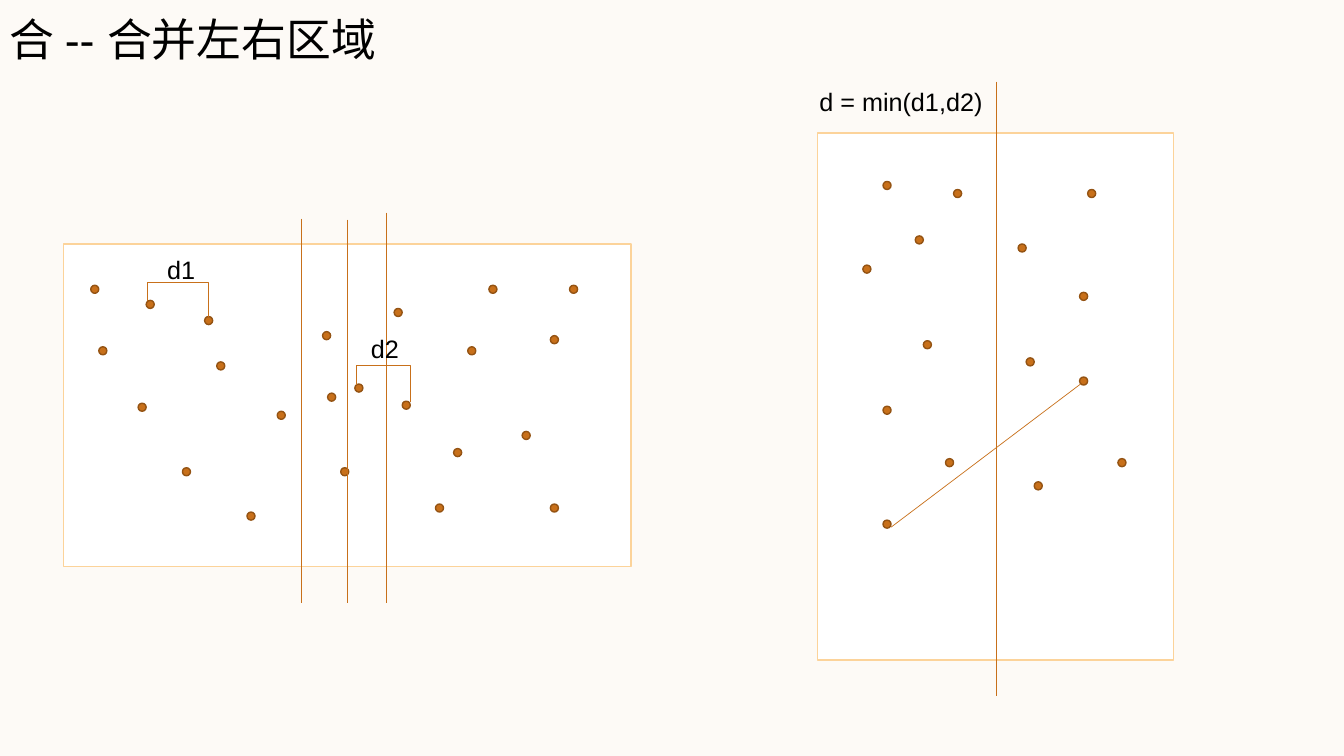
from dataclasses import dataclass
from lxml.etree import SubElement
from pptx import Presentation
from pptx.dml.color import RGBColor as RGB
from pptx.enum.shapes import MSO_CONNECTOR as CONN, MSO_SHAPE as SHAPE
from pptx.oxml.ns import qn
from pptx.util import Inches, Pt


@dataclass(frozen=True)
class Theme:
    background: str = "FDFAF6"
    panel: str = "FFFFFF"
    panel_edge: str = "FCD39A"
    accent: str = "C8701A"
    dot_edge: str = "945313"
    text: str = "000000"
    font: str = "Arial"
    title_size: int = 32
    label_size: int = 18
    edge_width: float = 1
    line_width: float = 0.5


THEME = Theme()
COLS, ROWS = 133.33, 75
CELL = Inches(0.1)
DOT = 0.8

LEFT_DOTS = [
    (2.7, 4.1), (3.5, 10.2), (8.2, 5.6), (7.4, 15.8), (14, 7.2), (11.8, 22.2),
    (15.2, 11.7), (40.1, 10.2), (32.8, 6.4), (25.7, 8.7), (45.5, 18.6),
    (33.6, 15.6), (38.7, 20.3), (36.9, 25.8), (18.2, 26.6), (21.2, 16.6),
    (27.5, 22.2), (42.2, 4.1), (48.3, 9.1), (50.2, 4.1), (48.3, 25.8),
    (26.2, 14.8), (28.9, 13.9),
]
RIGHT_DOTS = [
    (6.5, 4.8), (4.5, 13.1), (13.5, 5.6), (9.7, 10.2), (10.5, 20.6),
    (6.5, 27.1), (12.7, 32.3), (6.5, 38.4), (19.9, 11), (26, 15.8),
    (26.8, 5.6), (20.7, 22.3), (29.8, 32.3), (21.5, 34.6), (26, 24.2),
]


def cells(*values):
    return [round(v * CELL) for v in values]


def add_solid(s, kind, box, fill, edge):
    sp = s.shapes.add_shape(kind, *cells(*box))
    sp.shadow.inherit = False
    sp.fill.solid()
    sp.fill.fore_color.rgb = RGB.from_string(fill)
    sp.line.color.rgb = RGB.from_string(edge)
    sp.line.width = Pt(THEME.edge_width)


def add_text(s, box, text, size):
    tf = s.shapes.add_textbox(*cells(*box)).text_frame
    tf.word_wrap = True
    r = tf.paragraphs[0].add_run()
    r.text = text
    for name, value in {"name": THEME.font, "size": Pt(size)}.items():
        setattr(r.font, name, value)
    r.font.color.rgb = RGB.from_string(THEME.text)


def add_line(s, x1, y1, x2, y2, kind=CONN.STRAIGHT):
    line = s.shapes.add_connector(kind, *cells(x1, y1, x2, y2))
    line.line.color.rgb = RGB.from_string(THEME.accent)
    line.line.width = Pt(THEME.line_width)
    SubElement(line._element.spPr, qn("a:effectLst"))
    return line


def add_bracket(s, x1, y1, x2, y2, rise):
    mid_x, mid_y = (x1 + x2) / 2, (y1 + y2) / 2
    half_w, half_h = (y2 - y1) / 2, (x2 - x1) / 2
    line = add_line(s, mid_x - half_w, mid_y - half_h,
                    mid_x + half_w, mid_y + half_h, CONN.ELBOW)
    spPr = line._element.spPr
    xfrm = spPr.find(qn("a:xfrm"))
    for name, value in {"rot": "16200000", "flipH": "1"}.items():
        xfrm.set(name, value)
    geom = spPr.find(qn("a:prstGeom"))
    guides = geom.find(qn("a:avLst"))
    if guides is None:
        guides = SubElement(geom, qn("a:avLst"))
    bend = round(-rise / (y2 - y1) * 100000)
    SubElement(guides, qn("a:gd"), name="adj1", fmla=f"val {bend}")


def add_point_panel(s, box, dots, lines, labels, brackets=()):
    left, top = box[:2]
    add_solid(s, SHAPE.RECTANGLE, box, THEME.panel, THEME.panel_edge)
    for x, y in dots:
        add_solid(s, SHAPE.OVAL, (left + x, top + y, DOT, DOT),
                  THEME.accent, THEME.dot_edge)
    for x1, y1, x2, y2 in lines:
        add_line(s, left + x1, top + y1, left + x2, top + y2)
    for x1, y1, x2, y2, rise in brackets:
        add_bracket(s, left + x1, top + y1, left + x2, top + y2, rise)
    for text, x, y, w, h in labels:
        add_text(s, (left + x, top + y, w, h), text, THEME.label_size)


def build_merge_slide(prs):
    s = prs.slides.add_slide(prs.slide_layouts[6])
    s.background.fill.solid()
    s.background.fill.fore_color.rgb = RGB.from_string(THEME.background)
    add_text(s, (0, 0.7, 38.5, 6.4), "合 -- 合并左右区域", THEME.title_size)
    add_point_panel(
        s, (6.3, 24.2, 56.3, 32), LEFT_DOTS,
        lines=[(23.6, -2.5, 23.6, 35.6), (28.2, -2.4, 28.2, 35.6),
               (32, -3.1, 32, 35.6)],
        labels=[("d1", 9.3, 0.5, 6.3, 4), ("d2", 29.5, 8.4, 5.1, 4)],
        brackets=[(8.3, 5.7, 14.4, 7.2, 1.9), (29.1, 14, 34.4, 15.7, 2)])
    add_point_panel(
        s, (81.1, 13.2, 35.3, 52.3), RIGHT_DOTS,
        lines=[(17.7, -5.1, 17.7, 55.8), (7.3, 39.1, 26.1, 24.9)],
        labels=[("d = min(d1,d2)", -0.8, -5.1, 18.5, 4)])


def main():
    prs = Presentation()
    prs.slide_width, prs.slide_height = cells(COLS, ROWS)
    build_merge_slide(prs)
    prs.save("out.pptx")


if __name__ == "__main__":
    main()
